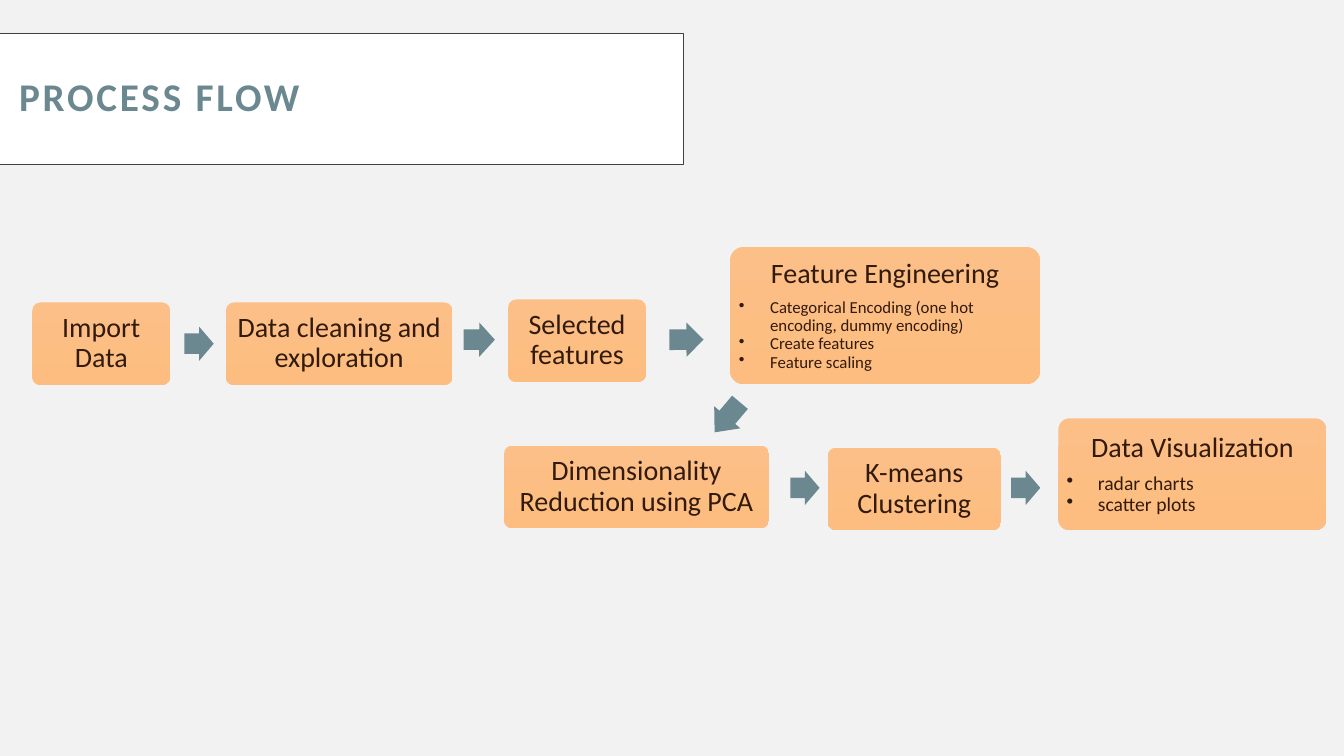
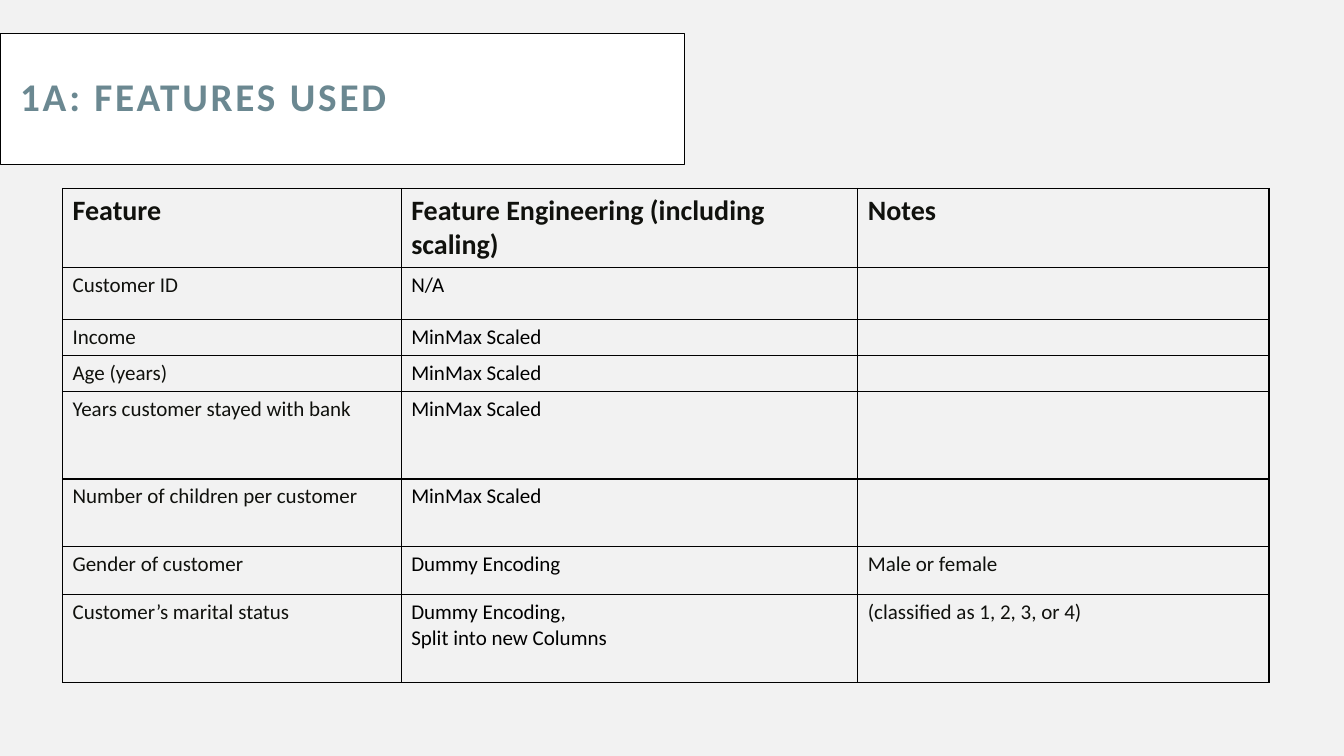
"""Build a process flow slide and a table of the features used."""
from lxml import etree
from pptx import Presentation
from pptx import util as u
from pptx.dml.color import RGBColor
from pptx.enum import shapes, text
from pptx.oxml import ns

FONT = "Calibri"
PAPER = RGBColor(0xF2, 0xF2, 0xF2)
WHITE = RGBColor(0xFF, 0xFF, 0xFF)
BLACK = RGBColor(0, 0, 0)
GREY = RGBColor(0x40, 0x40, 0x40)
TEAL = RGBColor(0x6B, 0x88, 0x91)
BROWN = RGBColor(0x32, 0x1A, 0x0C)
INK = RGBColor(0x10, 0x11, 0x0D)
ORANGES = RGBColor(0xFC, 0xBF, 0x87), RGBColor(0xFD, 0xBD, 0x80)

COLUMNS, ROWS = 133.33, 75
STEP_HEIGHT, ARROW_HEIGHT = 8.2, 3.4

STEPS = [
    ((3.2, 30, 13.7, STEP_HEIGHT), "Import Data", [], None),
    ((22.4, 30, 22.5, STEP_HEIGHT), "Data cleaning and exploration", [], None),
    ((50.4, 29.7, 13.7, STEP_HEIGHT), "Selected features", [], None),
    ((72.4, 24.5, 30.8, 13.6), "Feature Engineering",
     ["Categorical Encoding (one hot encoding, dummy encoding)",
      "Create features", "Feature scaling"], 12),
    ((50, 44.2, 26.3, STEP_HEIGHT), "Dimensionality Reduction using PCA", [], None),
    ((82.1, 44.4, 17.2, STEP_HEIGHT), "K-means Clustering", [], None),
    ((105, 41.5, 26.6, 11.1), "Data Visualization",
     ["radar charts", "scatter plots"], 14),
]
ARROWS = [
    (18.3, 32.4, 2.9, 0), (46, 32, 3.1, 0.3), (66.4, 32, 3.4, -0.3),
    (70.2, 39.7, 3.9, 130.1), (78.4, 46.7, 2.9, 0), (100.3, 46.7, 2.9, 0),
]

FEATURE_WIDTHS = [33.6, 45.3, 40.8]
FEATURES = [
    (7.8, "Feature", "Feature Engineering (including scaling)", "Notes"),
    (5.2, "Customer ID", "N/A", ""),
    (3.5, "Income", "MinMax Scaled", ""),
    (3.5, "Age (years)", "MinMax Scaled", ""),
    (8.7, "Years customer stayed with bank", "MinMax Scaled", ""),
    (6.7, "Number of children per customer", "MinMax Scaled", ""),
    (4.8, "Gender of customer", "Dummy Encoding", "Male or female"),
    (8.7, "Customer’s marital status", "Dummy Encoding,\nSplit into new Columns",
     "(classified as 1, 2, 3, or 4)"),
]


def cells(count):
    """Turn a count of grid cells, ten to the inch, into a length."""
    return u.Inches(count / 10)


def write(paragraph, words, size, color, bold=False, align=text.PP_ALIGN.LEFT,
          line=None, after=0, spacing=0, bullet=False):
    """Fill one paragraph with formatted words."""
    paragraph.alignment = align
    paragraph.line_spacing = line
    paragraph.space_after = u.Pt(after)
    if bullet:
        properties = paragraph._p.get_or_add_pPr()
        properties.set("marL", str(cells(3.1)))
        properties.set("indent", str(-cells(3.1)))
        etree.SubElement(properties, ns.qn("a:buChar"), char="•")
    if not words:
        etree.SubElement(paragraph._p, ns.qn("a:endParaRPr"), sz=str(size * 100))
        return
    run = paragraph.add_run()
    run.text = words
    run.font.name, run.font.size = FONT, u.Pt(size)
    run.font.bold, run.font.color.rgb = bold, color
    if spacing:
        run._r.get_or_add_rPr().set("spc", str(spacing * 100))


def add_block(slide, preset, place, inset=0.0):
    """Add a shape without shadow or outline, with even text insets."""
    block = slide.shapes.add_shape(preset, *map(cells, place))
    block.shadow.inherit = False
    block.line.fill.background()
    frame = block.text_frame
    frame.word_wrap = True
    frame.vertical_anchor = text.MSO_ANCHOR.MIDDLE
    frame.margin_left = frame.margin_right = cells(inset)
    frame.margin_top = frame.margin_bottom = cells(inset)
    return block


def add_titled_slide(deck, title, border, left=0.0):
    """Add a blank slide with its background and title band."""
    slide = deck.slides.add_slide(deck.slide_layouts[6])
    slide.background.fill.solid()
    slide.background.fill.fore_color.rgb = PAPER
    band = add_block(slide, shapes.MSO_SHAPE.RECTANGLE, (left, 3.3, 67.9, 13), 2)
    band.fill.solid()
    band.fill.fore_color.rgb = WHITE
    band.line.color.rgb, band.line.width = border, u.Pt(0.5)
    write(band.text_frame.paragraphs[0], title, 28, TEAL, bold=True, line=0.9,
          spacing=2)
    return slide


def add_step(slide, place, heading, details, detail_size):
    """Add one rounded step with its heading and bulleted details."""
    step = add_block(slide, shapes.MSO_SHAPE.ROUNDED_RECTANGLE, place, 0.5)
    step.adjustments[0] = 0.1
    step.fill.gradient()
    step.fill.gradient_angle = 270
    for stop, color, position in zip(step.fill.gradient_stops, ORANGES, (0, 1)):
        stop.color.rgb, stop.position = color, position
    frame = step.text_frame
    write(frame.paragraphs[0], heading, 20, BROWN, line=0.9,
          align=text.PP_ALIGN.CENTER, after=7 if details else 0)
    for detail in details:
        write(frame.add_paragraph(), detail, detail_size, BROWN, line=0.9, bullet=True)


def add_arrow(slide, left, top, length, angle):
    """Add a block arrow whose head takes half its length."""
    arrow = add_block(slide, shapes.MSO_SHAPE.RIGHT_ARROW,
                      (left, top, length, ARROW_HEIGHT))
    arrow.adjustments[0] = 0.6
    arrow.adjustments[1] = length / 2 / min(length, ARROW_HEIGHT)
    arrow.rotation = angle
    arrow.fill.solid()
    arrow.fill.fore_color.rgb = TEAL


def outline(cell):
    """Clear the fill of a table cell and draw its four borders."""
    properties = cell._tc.get_or_add_tcPr()
    for side in ("lnL", "lnR", "lnT", "lnB"):
        border = etree.SubElement(properties, ns.qn(f"a:{side}"), w=str(u.Pt(1)))
        solid = etree.SubElement(border, ns.qn("a:solidFill"))
        etree.SubElement(solid, ns.qn("a:srgbClr"), val=str(BLACK))
    cell.fill.background()


def add_features(slide, left, top):
    """Add the table of features."""
    heights = [row[0] for row in FEATURES]
    table = slide.shapes.add_table(
        len(FEATURES), len(FEATURE_WIDTHS), cells(left), cells(top),
        cells(sum(FEATURE_WIDTHS)), cells(sum(heights))).table
    table.first_row = table.horz_banding = False
    for column, width in zip(table.columns, FEATURE_WIDTHS):
        column.width = cells(width)
    for number, (height, *entries) in enumerate(FEATURES):
        table.rows[number].height = cells(height)
        header = number == 0
        for place, entry in enumerate(entries):
            cell = table.cell(number, place)
            outline(cell)
            for index, words in enumerate(entry.split("\n")):
                frame = cell.text_frame
                paragraph = frame.add_paragraph() if index else frame.paragraphs[0]
                write(paragraph, words, 20 if header else 15,
                      BLACK if place == 1 and not header else INK, bold=header)


def main():
    """Build and save both slides."""
    deck = Presentation()
    deck.slide_width, deck.slide_height = cells(COLUMNS), cells(ROWS)
    flow = add_titled_slide(deck, "PROCESS FLOW", GREY, left=-0.1)
    for step in STEPS:
        add_step(flow, *step)
    for arrow in ARROWS:
        add_arrow(flow, *arrow)
    add_features(add_titled_slide(deck, "1A: FEATURES USED", BLACK), 6.2, 18.7)
    deck.save("out.pptx")


if __name__ == "__main__":
    main()
